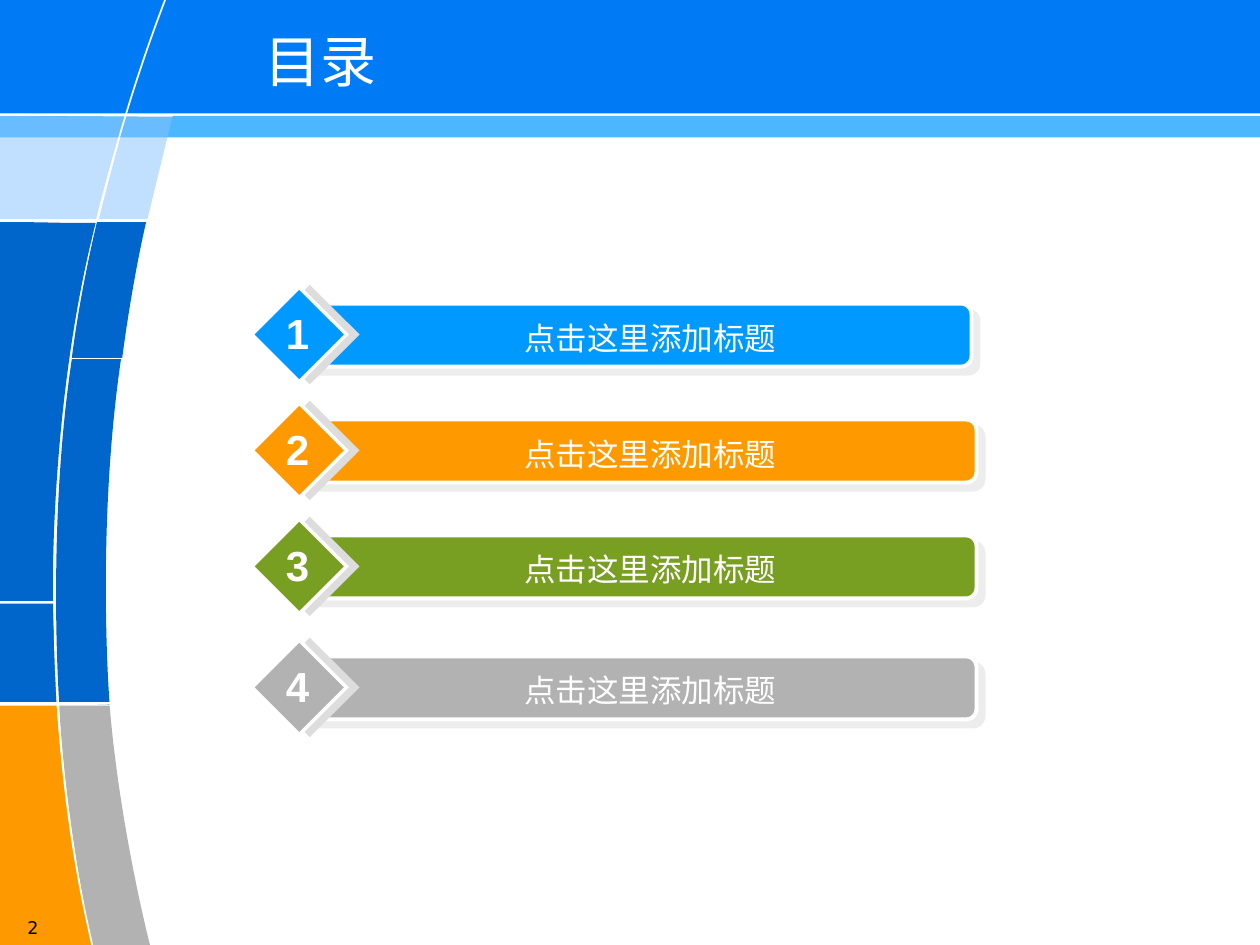
from lxml import etree
from pptx import Presentation
from pptx.dml.color import RGBColor
from pptx.enum.shapes import MSO_CONNECTOR, MSO_SHAPE
from pptx.enum.text import MSO_ANCHOR, MSO_AUTO_SIZE, PP_ALIGN
from pptx.oxml.ns import qn
from pptx.util import Inches, Pt

RECTANGLE, ROUNDED, DIAMOND = MSO_SHAPE.RECTANGLE, MSO_SHAPE.ROUNDED_RECTANGLE, MSO_SHAPE.DIAMOND
STRAIGHT = MSO_CONNECTOR.STRAIGHT
LEFT, CENTER = PP_ALIGN.LEFT, PP_ALIGN.CENTER
MIDDLE = MSO_ANCHOR.MIDDLE
FIT_SHAPE, NO_FIT = MSO_AUTO_SIZE.SHAPE_TO_FIT_TEXT, MSO_AUTO_SIZE.NONE

WHITE = RGBColor(0xFF, 0xFF, 0xFF)
BLACK = RGBColor(0x00, 0x00, 0x00)
HEADER_BLUE = RGBColor(0x00, 0x7B, 0xF6)
BRIGHT_BLUE = RGBColor(0x00, 0x99, 0xFF)
PALE_BLUE = RGBColor(0x85, 0xC2, 0xFF)
DEEP_BLUE = RGBColor(0x00, 0x66, 0xCC)
ORANGE = RGBColor(0xFF, 0x99, 0x00)
GREEN = RGBColor(0x78, 0x9F, 0x21)
GREY = RGBColor(0xB2, 0xB2, 0xB2)
SHADOW_GREY = "DDDDDD"
CJK_FONT = "Noto Sans CJK SC"


def paint(shape, color, opacity=100, outline=None):
    """Flat fill, optional white outline with sharp corners, no inherited shadow."""
    shape.shadow.inherit = False
    shape.fill.solid()
    shape.fill.fore_color.rgb = color
    if opacity < 100:
        color_node = shape.element.spPr.find(qn("a:solidFill"))[0]
        etree.SubElement(color_node, qn("a:alpha")).set("val", str(opacity * 1000))
    if outline:
        shape.line.color.rgb = WHITE
        shape.line.width = Pt(outline)
        etree.SubElement(shape.element.spPr.find(qn("a:ln")), qn("a:miter"), lim="800000")
    else:
        shape.line.fill.background()


def write(box, text, size, color, font=CJK_FONT, align=LEFT, bold=False, wrap=True, fit=FIT_SHAPE):
    frame = box.text_frame
    frame.text = text
    frame.word_wrap = wrap
    frame.auto_size = fit
    para = frame.paragraphs[0]
    para.alignment = align
    span = para.runs[0]
    span.font.name = font
    span.font.size = Pt(size)
    span.font.bold = bold
    span.font.color.rgb = color
    east_asian = etree.SubElement(span.font._element, qn("a:ea"))
    east_asian.set("typeface", CJK_FONT)


deck = Presentation()
deck.slide_width, deck.slide_height = Inches(10), Inches(7.5)
page = deck.slides.add_slide(deck.slide_layouts[5])
shapes = page.shapes

# Header bands and footer strip
for left, top, width, height, color, opacity in [(0, 0.92, 10, 0.17, BRIGHT_BLUE, 70),
                                                 (0, 0, 10, 0.9, HEADER_BLUE, 100),
                                                 (6.54, 7.29, 3.29, 0.12, WHITE, 100)]:
    band = shapes.add_shape(RECTANGLE, Inches(left), Inches(top), Inches(width), Inches(height))
    paint(band, color, opacity)

# Side decoration, back to front. Dividers: (width, start, end).
# Panels: (fill, opacity, outline), where pairs are corners and sixes Bezier curves.
decoration = [
    (1, (0, 1.82), (0.82, 1.83)),
    (ORANGE, 100, [(0, 5.6), (0.45, 5.6), (0.45, 5.6, 0.51, 6.58, 0.73, 7.5),
                   (0.36, 7.5, 0, 7.5, 0, 7.5), (0, 5.6)]),
    (GREY, 100, [(0.47, 5.6), (0.67, 5.6, 0.87, 5.6, 0.87, 5.6), (0.95, 6.57, 1.19, 7.5, 1.19, 7.5),
                 (0.73, 7.5), (0.73, 7.5, 0.52, 6.54, 0.47, 5.6)]),
    (1, (0.01, 5.59), (0.87, 5.58)),
    (PALE_BLUE, 50, [(0, 0.92), (0.99, 0.93), (0.99, 0.93, 0.86, 1.34, 0.76, 1.75),
                     (0.38, 1.75, 0, 1.75, 0, 1.75), (0, 0.92)]),
    (PALE_BLUE, 50, [(1, 0.92), (1.37, 0.92), (1.17, 1.74), (0.78, 1.74), (1, 0.92)]),
    (1, (0, 0.91), (1.37, 0.92)),
    (DEEP_BLUE, 100, [(0, 1.76), (0.71, 1.77, 0.37, 1.77, 0.76, 1.77),
                      (0.39, 3.21, 0.42, 4.77, 0.42, 4.77), (0, 4.77),
                      (0, 4.77, 0, 1.76, 0, 1.76)]),
    (1, (0.75, 1.94), (1.9, 1.94)),
    (DEEP_BLUE, 100, [(0, 4.79), (0.42, 4.79), (0.45, 5.57), (0, 5.58), (0, 4.79)]),
    (1, (0, 4.78), (0.83, 4.78)),
    (None, 100, [(1.31, 0), (-0.26, 4.1, 0.76, 7.52, 0.73, 7.5)]),
    (DEEP_BLUE, 100, [(0.77, 1.76), (0.77, 1.76, 0.97, 1.76, 1.16, 1.76),
                      (1.04, 2.28, 0.97, 2.84, 0.97, 2.84), (0.97, 2.84, 0.77, 2.84, 0.57, 2.84),
                      (0.64, 2.29, 0.77, 1.76, 0.77, 1.76)]),
    (DEEP_BLUE, 100, [(0.57, 2.85), (0.76, 2.85, 0.96, 2.85, 0.96, 2.85),
                      (0.76, 4.22, 0.87, 5.59, 0.87, 5.59), (0.47, 5.58),
                      (0.47, 5.58, 0.37, 4.19, 0.57, 2.85)]),
    (1.5, (0, 1.75), (1.22, 1.75)),
    (1.5, (0, 5.58), (0.9, 5.58)),
]
for first, second, third in decoration:
    if isinstance(second, tuple):
        ends = [Inches(value) for value in second + third]
        divider = shapes.add_connector(STRAIGHT, *ends)
        divider.line.color.rgb = WHITE
        divider.line.width = Pt(first)
        etree.SubElement(divider.element.spPr, qn("a:effectLst"))
        continue

    # Lay every control point as a corner, then join each three into one curve
    points = [(Inches(step[i]), Inches(step[i + 1])) for step in third for i in range(0, len(step), 2)]
    builder = shapes.build_freeform(*points[0])
    builder.add_line_segments(points[1:], close=first is not None)
    panel = builder.convert_to_shape()
    segments = iter(list(panel.element.iter(qn("a:lnTo"))))
    for step in third[1:]:
        segment = next(segments)
        if len(step) == 6:
            curve = etree.Element(qn("a:cubicBezTo"))
            segment.addprevious(curve)
            for corner in (segment, next(segments), next(segments)):
                curve.append(corner[0])
                corner.getparent().remove(corner)
    if first is None:
        paint(panel, WHITE, outline=1)
        panel.fill.background()
    else:
        paint(panel, first, second)

# Title, raised above the header band, and page number
title = shapes.title
title.left, title.top, title.width, title.height = Inches(2), Inches(0.17), Inches(7.08), Inches(0.62)
write(title, "目录", 32, WHITE, fit=NO_FIT)
title.text_frame.vertical_anchor = MIDDLE
divider.element.addnext(title.element)

number_box = shapes.add_textbox(Inches(0.12), Inches(7.23), Inches(2.33), Inches(0.27))
write(number_box, "2", 10, BLACK, font="DejaVu Sans", fit=NO_FIT)

# Agenda rows: bar left, bar top, colour
rows = [(2.29, 2.41, BRIGHT_BLUE), (2.33, 3.33, ORANGE), (2.33, 4.25, GREEN), (2.33, 5.21, GREY)]
for number, (left, top, color) in enumerate(rows, 1):
    bar = shapes.add_shape(ROUNDED, Inches(left), Inches(top), Inches(5.42), Inches(0.5))
    paint(bar, color, outline=2.25)
    diamond = shapes.add_shape(DIAMOND, Inches(2), Inches(top - 0.13), Inches(0.75), Inches(0.75))
    paint(diamond, color, outline=2)
    for shape, distance, degrees, opacity in [(bar, 5.7, 45, 50), (diamond, 6, 0, 100)]:
        effects = shape.element.spPr.find(qn("a:effectLst"))
        shadow = etree.SubElement(effects, qn("a:outerShdw"), dist=str(Pt(distance)),
                                  dir=str(degrees * 60000), algn="ctr", rotWithShape="0")
        shade = etree.SubElement(shadow, qn("a:srgbClr"), val=SHADOW_GREY)
        etree.SubElement(shade, qn("a:alpha"), val=str(opacity * 1000))

    label = shapes.add_textbox(Inches(2.91), Inches(top + 0.07), Inches(4.5), Inches(0.4))
    write(label, "点击这里添加标题", 18, WHITE, font="Arial", align=CENTER)
    digit = shapes.add_textbox(Inches(2.17), Inches(top - 0.02), Inches(0.38), Inches(0.5))
    write(digit, str(number), 24, WHITE, font="Arial", align=CENTER, bold=True, wrap=False)

deck.save("out.pptx")
